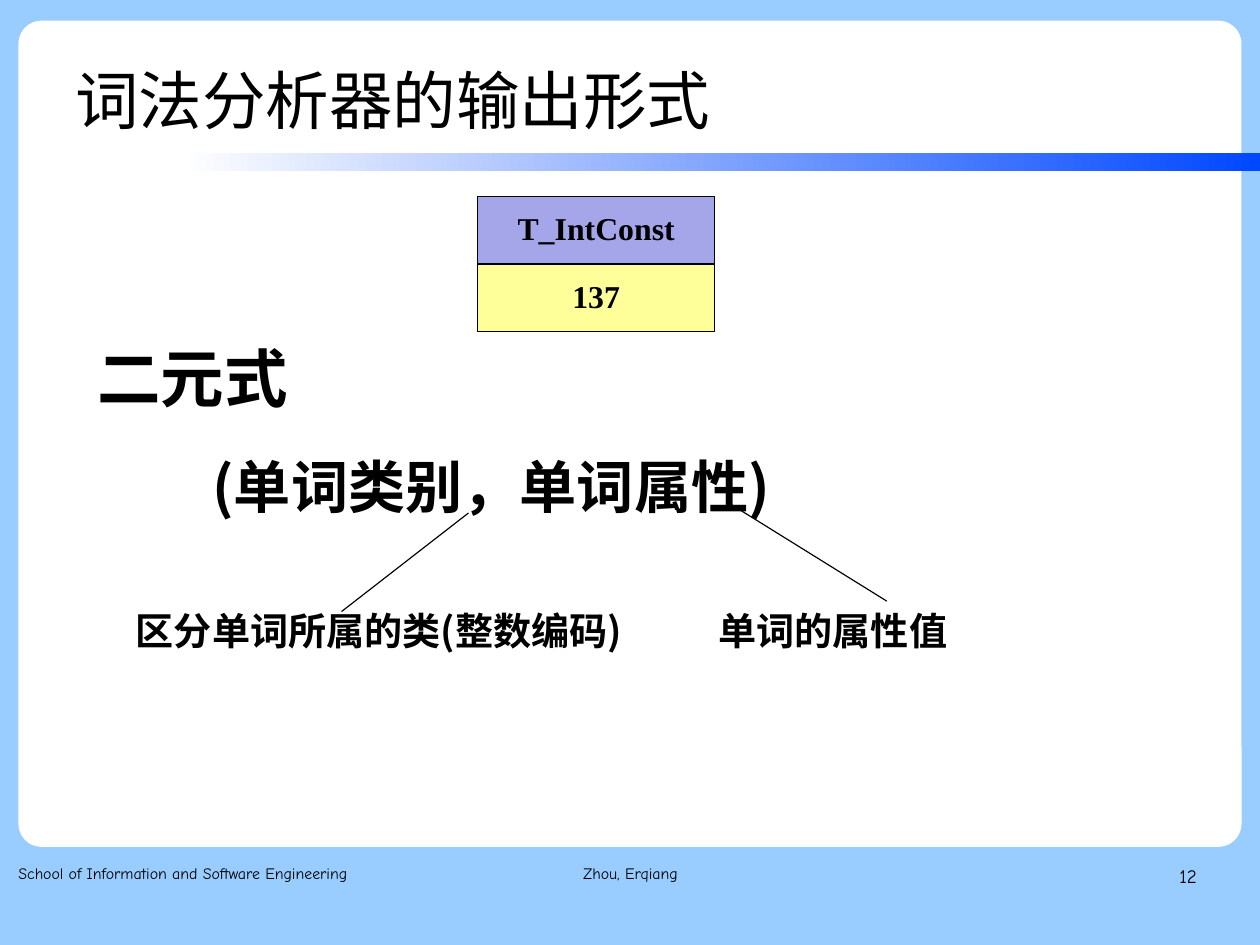
"""Build the slide on the output form of a lexical analyser."""
from lxml.etree import SubElement
from pptx import Presentation
from pptx.enum.shapes import MSO_CONNECTOR as Connector, MSO_SHAPE as Shape
from pptx.enum.text import MSO_ANCHOR as Anchor, PP_ALIGN as Align
from pptx.dml.color import RGBColor
from pptx.oxml.ns import qn
from pptx.util import Cm, Pt

COLORS = {
    "background": "99CCFF",
    "panel": "FFFFFF",
    "accent": "0047FF",
    "text": "000000",
    "category": "A5A5E9",
    "value": "FFFF99",
}
CHINESE, SERIF, CASUAL = "Noto Sans CJK SC", "Times New Roman", "Comic Neue"


def color(name):
    """Return the named colour."""
    return RGBColor.from_string(COLORS[name])


def write(paragraph, text, *, size, font=CHINESE, bold=False, align=Align.LEFT,
          spacing=1.0, after=0, indent=0):
    """Put formatted text into a paragraph."""
    paragraph.alignment = align
    paragraph.line_spacing = spacing
    paragraph.space_after = Pt(after)
    if indent:
        properties = paragraph._p.get_or_add_pPr()
        properties.set("marL", str(Cm(indent)))
        properties.set("indent", "0")
    run = paragraph.add_run()
    run.text = text
    run.font.size, run.font.name, run.font.bold = Pt(size), font, bold
    run.font.color.rgb = color("text")
    SubElement(run._r.get_or_add_rPr(), qn("a:ea")).set("typeface", font)


def add_frame(slide, box, inset=(0, 0), anchor=Anchor.TOP):
    """Add a wrapping text box and return its text frame."""
    frame = slide.shapes.add_textbox(*map(Cm, box)).text_frame
    frame.word_wrap = True
    frame.vertical_anchor = anchor
    frame.margin_left = frame.margin_right = Cm(inset[0])
    frame.margin_top = frame.margin_bottom = Cm(inset[1])
    return frame


def add_block(slide, kind, box, fill=None, outlined=False):
    """Add a preset shape without shadow."""
    shape = slide.shapes.add_shape(kind, *map(Cm, box))
    shape.shadow.inherit = False
    if fill:
        shape.fill.solid()
        shape.fill.fore_color.rgb = color(fill)
    if outlined:
        shape.line.color.rgb = color("text")
        shape.line.width = Pt(0.74)
    else:
        shape.line.fill.background()
    return shape


def add_backdrop(slide, box):
    """Draw the background, the rounded panel and the gradient bar."""
    left, top, width, height = box
    slide.background.fill.solid()
    slide.background.fill.fore_color.rgb = color("background")
    margin = 0.41
    panel = add_block(slide, Shape.ROUNDED_RECTANGLE,
                      (left + margin, top + 0.46, width - 2 * margin, 18.36), "panel")
    panel.adjustments[0] = 0.028
    bar = add_block(slide, Shape.RECTANGLE, (left + 3.99, top + 3.4, width - 3.99, 0.41))
    bar.fill.gradient()
    bar.fill.gradient_angle = 0
    for stop, name in zip(bar.fill.gradient_stops, ("panel", "accent")):
        stop.color.rgb = color(name)


def add_title(slide, box, text):
    """Write the slide title."""
    frame = add_frame(slide, box, (0.28, 0.15), Anchor.MIDDLE)
    write(frame.paragraphs[0], text, size=40, spacing=1.1)


def add_token(slide, box, rows):
    """Stack the parts of a token as equal cells."""
    left, top, width, height = box
    row_height = height / len(rows)
    for index, (text, fill) in enumerate(rows):
        cell = add_block(slide, Shape.RECTANGLE,
                         (left, top + index * row_height, width, row_height), fill, True)
        cell.text_frame.vertical_anchor = Anchor.MIDDLE
        write(cell.text_frame.paragraphs[0], text, size=20, font=SERIF, bold=True,
              align=Align.CENTER, spacing=0.93)


def add_pair(slide, box, heading, pair, notes):
    """Write the pair and link each of its parts to a note."""
    left, top, width, height = box
    frame = add_frame(slide, box)
    style = dict(bold=True, align=Align.JUSTIFY, spacing=1.2, after=14.1)
    write(frame.paragraphs[0], heading, size=40, indent=0.28, **style)
    write(frame.add_paragraph(), pair, size=36, indent=2.84, **style)
    for text, offset, note_width, (start_x, start_y, end_x, end_y) in notes:
        note = add_frame(slide, (left + offset, top + 6.25, note_width, 1.22), (0.28, 0.15))
        write(note.paragraphs[0], text, size=24, bold=True, spacing=0.93)
        link = slide.shapes.add_connector(
            Connector.STRAIGHT, Cm(left + start_x), Cm(top + start_y),
            Cm(left + end_x), Cm(top + end_y))
        link.line.color.rgb = color("text")
        link.line.width = Pt(0.74)
        SubElement(link._element.spPr, qn("a:effectLst"))


def add_footer(slide, box, entries):
    """Write the footer entries side by side."""
    left, top, width, height = box
    for text, offset, entry_width, size, align in entries:
        frame = add_frame(slide, (left + offset, top, entry_width, height))
        write(frame.paragraphs[0], text, size=size, font=CASUAL, align=align, spacing=1.16)


def main():
    """Assemble and save the presentation."""
    presentation = Presentation()
    presentation.slide_width, presentation.slide_height = Cm(28), Cm(21)
    slide = presentation.slides.add_slide(presentation.slide_layouts[6])
    add_backdrop(slide, (0, 0, 28, 21))
    add_pair(slide, (1.88, 7.19, 25.2, 12.17), "二元式", "(单词类别，单词属性)", [
        ("区分单词所属的类(整数编码)", 0.86, 12.8, (8.53, 4.21, 5.71, 6.4)),
        ("单词的属性值", 13.81, 8, (14.32, 3.99, 17.83, 6.17)),
    ])
    add_title(slide, (1.4, 0.84, 21.79, 2.57), "词法分析器的输出形式")
    add_token(slide, (10.62, 4.37, 5.26, 3), [("T_IntConst", "category"), ("137", "value")])
    add_footer(slide, (0.41, 19.13, 26.19, 1.45), [
        ("School of Information and Software Engineering", 0, 8.59, 10, Align.LEFT),
        ("Zhou, Erqiang", 9.17, 8.86, 10, Align.CENTER),
        ("12", 19.66, 6.53, 12, Align.RIGHT),
    ])
    presentation.save("out.pptx")


main()
